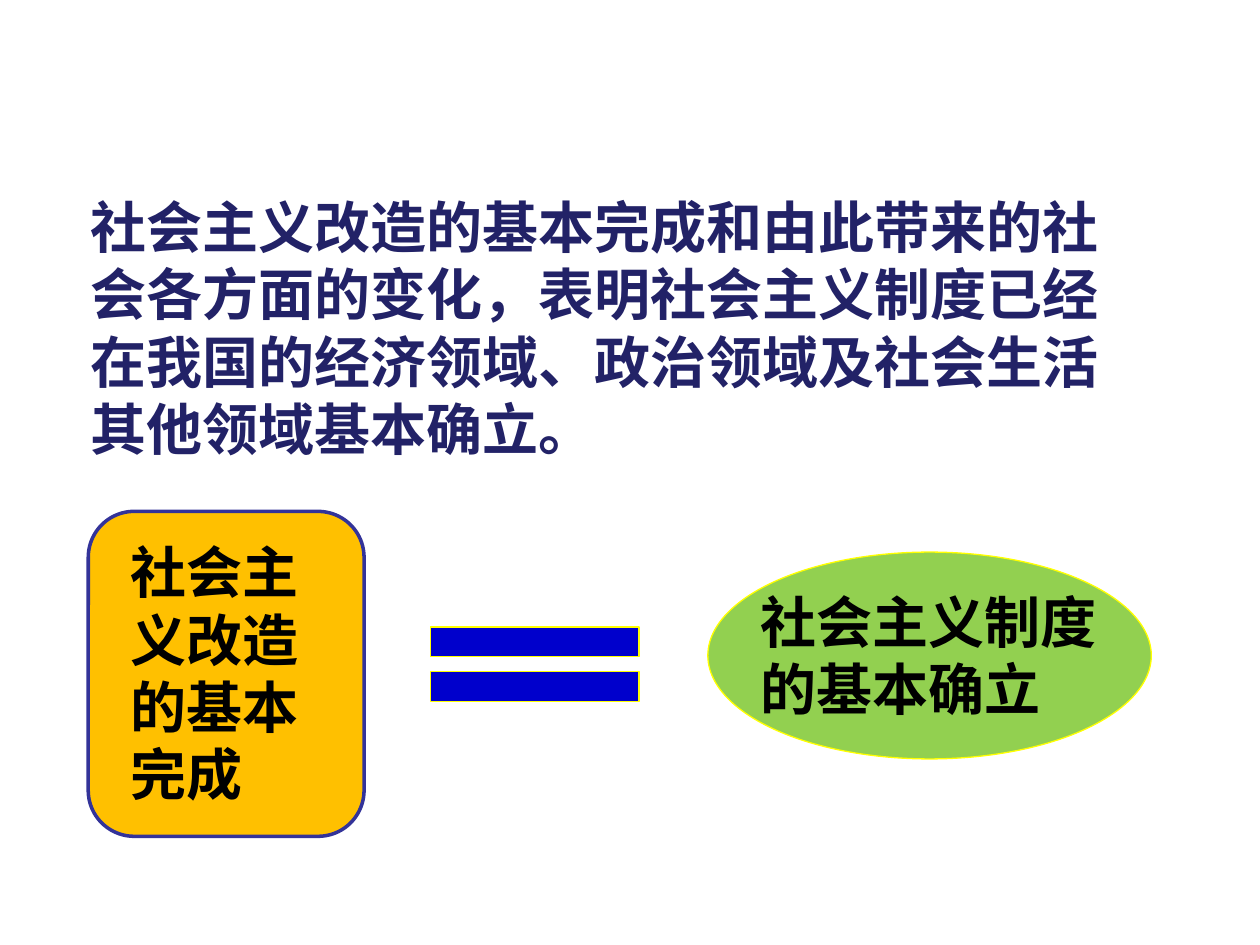
"""Builds a slide equating socialist transformation with the socialist system."""
from dataclasses import dataclass

from lxml import etree
from pptx import Presentation
from pptx.dml.color import RGBColor
from pptx.enum import shapes, text
from pptx.oxml.ns import qn
from pptx.util import Cm, Pt


@dataclass(frozen=True)
class Theme:
    white: str = "FFFFFF"
    navy: str = "222267"
    black: str = "000000"
    indigo: str = "333399"
    amber: str = "FFC000"
    blue: str = "0000CC"
    green: str = "92D050"
    yellow: str = "FFFF00"
    latin: str = "Arial"
    chinese: str = "Noto Sans CJK SC"
    size: int = 32


THEME = Theme()
KIND = shapes.MSO_SHAPE

STATEMENT = (
    "社会主义改造的基本完成和由此带来的社会各方面的变化，表明社会主义制度已经"
    "在我国的经济领域、政治领域及社会生活其他领域基本确立。",
    (1.57, 3.76, 21.82, 5.74), THEME.chinese, THEME.navy, THEME.white,
)
FIGURES = [
    (KIND.FLOWCHART_ALTERNATE_PROCESS, (1.78, 10.31, 5.56, 6.55),
     THEME.amber, THEME.indigo, 2),
    (KIND.MATH_EQUAL, (7.92, 12.12, 5.72, 2.54), THEME.blue, THEME.yellow, 0.75),
    (KIND.OVAL, (14.27, 11.13, 8.94, 4.17), THEME.green, THEME.yellow, 0.75),
]
LABELS = [
    ("社会主义改造的基本完成", (2.39, 10.72, 4.37, 5.74),
     THEME.latin, THEME.black, None),
    ("社会主义制度的基本确立", (15.09, 11.71, 7.54, 3.0),
     THEME.latin, THEME.black, None),
]


def color(value):
    return RGBColor.from_string(value)


def add_figure(page, kind, place, fill, outline, width):
    figure = page.shapes.add_shape(kind, *map(Cm, place))
    figure.shadow.inherit = False
    figure.fill.solid()
    figure.fill.fore_color.rgb = color(fill)
    figure.line.color.rgb = color(outline)
    figure.line.width = Pt(width)


def add_text(page, words, place, typeface, ink, fill):
    box = page.shapes.add_textbox(*map(Cm, place))
    if fill:
        box.fill.solid()
        box.fill.fore_color.rgb = color(fill)
    frame = box.text_frame
    frame.word_wrap = True
    frame.auto_size = text.MSO_AUTO_SIZE.SHAPE_TO_FIT_TEXT
    frame.text = words
    span = frame.paragraphs[0].runs[0]
    span.font.name = typeface
    span.font.size = Pt(THEME.size)
    span.font.bold = True
    span.font.color.rgb = color(ink)
    latin = span.font._element.find(qn("a:latin"))
    asian = etree.Element(qn("a:ea"), typeface=THEME.chinese)
    latin.addnext(asian)


def main():
    deck = Presentation()
    deck.slide_width, deck.slide_height = Cm(25.4), Cm(19.05)
    page = deck.slides.add_slide(deck.slide_layouts[6])
    add_text(page, *STATEMENT)
    for figure in FIGURES:
        add_figure(page, *figure)
    for label in LABELS:
        add_text(page, *label)
    deck.save("out.pptx")


if __name__ == "__main__":
    main()
